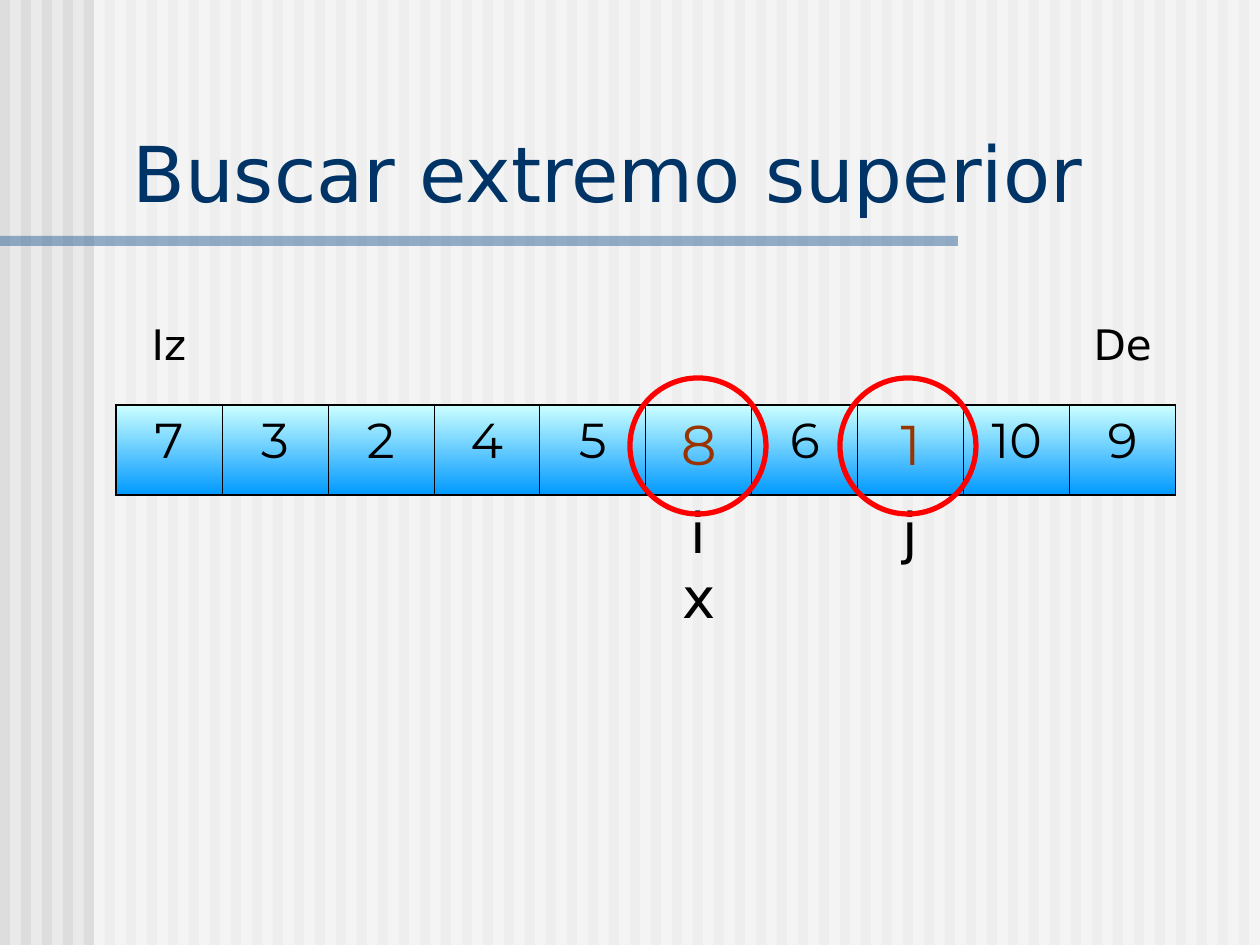
"""Slide on finding the upper end of an array, with its two marked items."""
from lxml import etree
from pptx import Presentation
from pptx.dml.color import RGBColor
from pptx.enum.shapes import MSO_SHAPE
from pptx.enum.text import MSO_ANCHOR, PP_ALIGN
from pptx.oxml import parse_xml
from pptx.oxml.ns import nsdecls, qn
from pptx.util import Pt

RECT, OVAL = MSO_SHAPE.RECTANGLE, MSO_SHAPE.OVAL
MID, LOW = PP_ALIGN.CENTER, MSO_ANCHOR.BOTTOM
PAPER = RGBColor(0xEA, 0xEA, 0xEA)
GREY = RGBColor(0xDD, 0xDD, 0xDD)
WHITE = RGBColor(0xFF, 0xFF, 0xFF)
BLACK = RGBColor(0, 0, 0)
STEEL = RGBColor(0x33, 0x66, 0x99)
NAVY = RGBColor(0, 0x33, 0x66)
RED = RGBColor(0xFF, 0, 0)
RUST = RGBColor(0x99, 0x33, 0)
PALE = RGBColor(0xCC, 0xFF, 0xFF)
BLUE = RGBColor(0, 0x99, 0xFF)
SANS, MONT = "DejaVu Sans", "Montserrat"
PLAIN = "{2D5ABB26-0587-4C30-8999-92F81FD0307C}"
PX = 914400 // 126

TITLE = "Buscar extremo superior"
ITEMS = [7, 3, 2, 4, 5, 8, 6, 1, 10, 9]
ENDS = {0: "Iz", 9: "De"}
MARKS = {5: "i\vx", 7: "j"}
RINGS = [630, 840]
ROWS = [90, 90, 146]
COL = 106
LABEL = {"size": Pt(24), "name": SANS}
ITEM = {"size": Pt(28), "name": MONT}
HOT = {"size": Pt(32), "name": MONT}
MARK = {"size": Pt(32), "name": SANS}
HEAD = {"size": Pt(44), "name": SANS}

deck = Presentation()
deck.slide_width, deck.slide_height = 1260 * PX, 945 * PX
slide = deck.slides.add_slide(deck.slide_layouts[6])
back = slide.background.fill
back.solid()
back.fore_color.rgb = PAPER


def box(kind, *at):
    shape = slide.shapes.add_shape(kind, *(n * PX for n in at))
    shape.shadow.inherit = False
    return shape


def block(color, at, clear=False):
    shape = box(RECT, *at)
    shape.fill.solid()
    shape.fill.fore_color.rgb = color
    shape.line.fill.background()
    if clear:
        tint = shape.fill._xPr.find(qn("a:solidFill"))[0]
        etree.SubElement(tint, qn("a:alpha"), val="50000")


def ring(left):
    shape = box(OVAL, left, 378, 136, 136)
    shape.fill.background()
    shape.line.color.rgb = RED
    shape.line.width = Pt(3)


def write(frame, text, style, color):
    para = frame.paragraphs[0]
    para.text = text
    for run in para.runs:
        for key, val in style.items():
            setattr(run.font, key, val)
        run.font.color.rgb = color
    return para


def label(cell, text, style, color, gap):
    para = write(cell.text_frame, text, style, color)
    para.alignment = MID
    para.space_before = Pt(gap)


def edge(cell, sides):
    props = cell._tc.get_or_add_tcPr()
    for spot, (side, width) in enumerate(sides.items()):
        props.insert(spot, parse_xml(
            f'<a:ln{side} {nsdecls("a")} w="{Pt(width)}"><a:solidFill>'
            f'<a:srgbClr val="{BLACK}"/></a:solidFill></a:ln{side}>'))


for n in range(60):
    block(GREY, (21 * n, 0, 10, 945))
block(WHITE, (94, 0, 1166, 945), True)
block(STEEL, (0, 236, 958, 10), True)

last = len(ITEMS) - 1
frame = slide.shapes.add_table(
    len(ROWS), len(ITEMS), 116 * PX, 315 * PX, COL * len(ITEMS) * PX, sum(ROWS) * PX)
grid = frame.table
grid.first_row = grid.horz_banding = False
grid._tbl.tblPr.find(qn("a:tableStyleId")).text = PLAIN
for row, high in zip(grid.rows, ROWS):
    row.height = high * PX
for n, item in enumerate(ITEMS):
    grid.columns[n].width = COL * PX
    top, cell, foot = (grid.cell(r, n) for r in range(3))
    top.fill.background()
    foot.fill.background()
    cell.fill.gradient()
    cell.fill.gradient_angle = 270
    for stop, color, spot in zip(cell.fill.gradient_stops, (PALE, BLUE), (0, 1)):
        stop.color.rgb = color
        stop.position = spot
    edge(cell, {"L": 0.45 if n else 1.08, "R": 0.45 if n < last else 1.08,
                "T": 1.08, "B": 1.08})
    if n in ENDS:
        label(top, ENDS[n], LABEL, BLACK, 6)
    if n in MARKS:
        label(cell, str(item), HOT, RUST, 8)
        label(foot, MARKS[n], MARK, BLACK, 8)
    else:
        label(cell, str(item), ITEM, BLACK, 7)

for left in RINGS:
    ring(left)

head = slide.shapes.add_textbox(*(n * PX for n in (120, 118, 1125, 106))).text_frame
head.word_wrap = True
head.vertical_anchor = LOW
write(head, TITLE, HEAD, NAVY)

deck.save("out.pptx")
